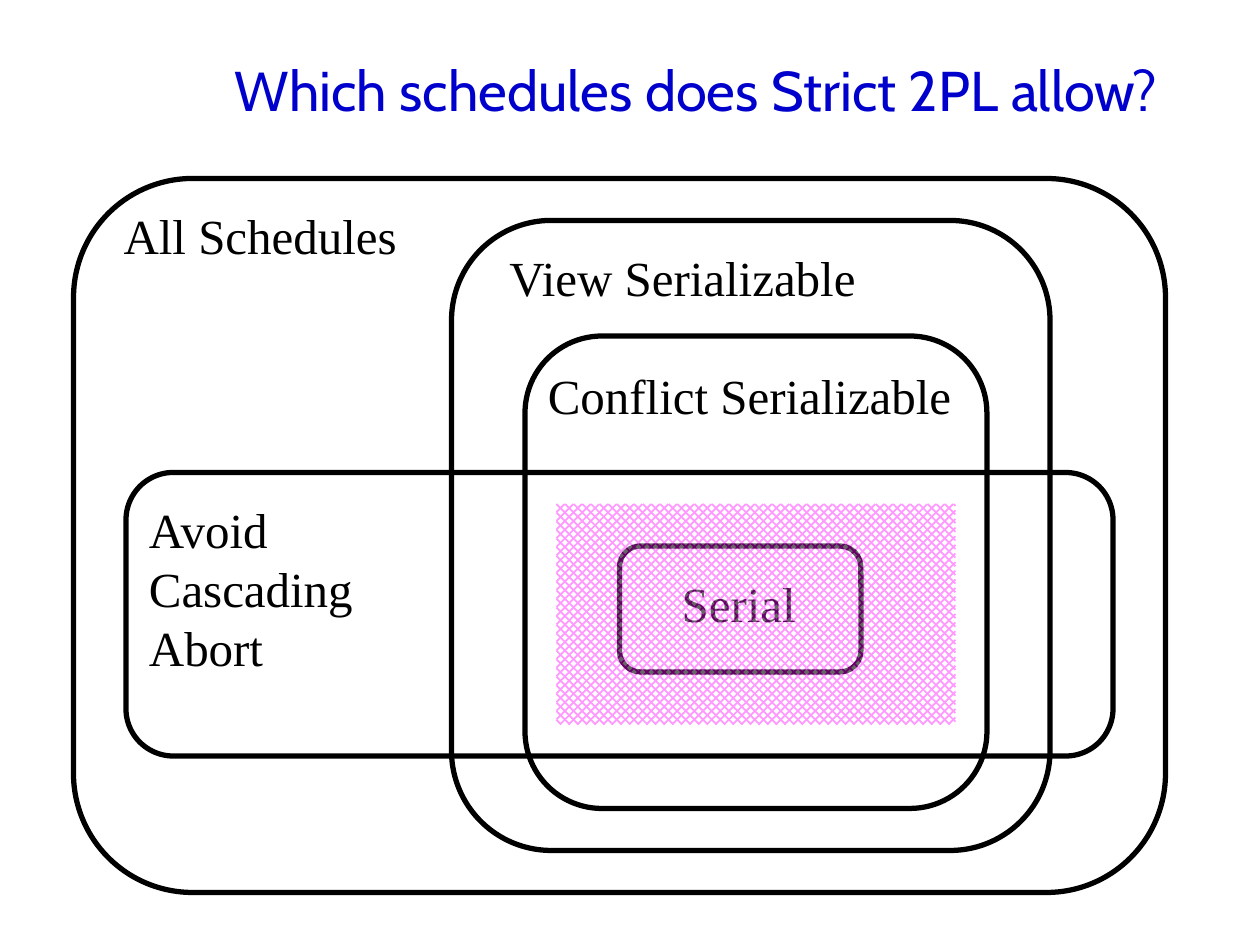
from dataclasses import dataclass

from lxml import etree
from pptx import Presentation
from pptx.dml.color import RGBColor
from pptx.enum.dml import MSO_PATTERN
from pptx.enum.shapes import MSO_SHAPE
from pptx.enum.text import MSO_ANCHOR
from pptx.oxml.ns import qn
from pptx.util import Pt

ROUNDED = MSO_SHAPE.ROUNDED_RECTANGLE
RECTANGLE = MSO_SHAPE.RECTANGLE
HALF_TONE = MSO_PATTERN.PERCENT_50
TOP = MSO_ANCHOR.TOP
MIDDLE = MSO_ANCHOR.MIDDLE


@dataclass(frozen=True)
class Theme:
    ink = RGBColor(0x00, 0x00, 0x00)
    paper = RGBColor(0xFF, 0xFF, 0xFF)
    title_color = RGBColor(0x00, 0x00, 0xCC)
    highlight = RGBColor(0xFF, 0x00, 0xFF)
    highlight_alpha = 40
    title_font = "Cabin"
    label_font = "Times New Roman"
    title_size = Pt(32)
    label_size = Pt(28)
    outline = Pt(3)


class VennSlide:
    def __init__(self, slide, theme):
        self.slide = slide
        self.theme = theme

    def add_shape(self, kind, box):
        shape = self.slide.shapes.add_shape(kind, *map(Pt, box))
        shape.shadow.inherit = False
        return shape

    def add_text(self, text, box, color, font_format, wrap=True, anchor=TOP, indent=0):
        frame = self.slide.shapes.add_textbox(*map(Pt, box)).text_frame
        frame.word_wrap = wrap
        frame.vertical_anchor = anchor
        paragraph = frame.paragraphs[0]
        if indent:
            paragraph._p.get_or_add_pPr().set("indent", str(Pt(indent)))
        run = paragraph.add_run()
        run.text = text
        run.font.color.rgb = color
        for name, value in font_format.items():
            setattr(run.font, name, value)

    def add_title(self, text, box):
        theme = self.theme
        font_format = {"name": theme.title_font, "size": theme.title_size}
        self.add_text(text, box, theme.title_color, font_format, anchor=MIDDLE, indent=43)

    def add_label(self, text, box, wrap=False):
        theme = self.theme
        font_format = {"name": theme.label_font, "size": theme.label_size}
        self.add_text(text, box, theme.ink, font_format, wrap)

    def add_class_outline(self, box):
        shape = self.add_shape(ROUNDED, box)
        shape.fill.background()
        shape.line.color.rgb = self.theme.ink
        shape.line.width = self.theme.outline

    def add_highlight(self, box):
        """Add a see-through patterned area."""
        shape = self.add_shape(RECTANGLE, box)
        shape.line.fill.background()
        fill = shape.fill
        fill.patterned()
        fill.pattern = HALF_TONE
        fill.fore_color.rgb = self.theme.highlight
        fill.back_color.rgb = self.theme.paper
        for color in shape._element.spPr.find(qn("a:pattFill")).iter(qn("a:srgbClr")):
            alpha = etree.SubElement(color, qn("a:alpha"))
            alpha.set("val", str(self.theme.highlight_alpha * 1000))


def main():
    presentation = Presentation()
    presentation.slide_width, presentation.slide_height = Pt(720), Pt(540)
    venn = VennSlide(presentation.slides.add_slide(presentation.slide_layouts[6]), Theme())

    venn.add_title("Which schedules does Strict 2PL allow?", (84, 6, 636, 90))
    venn.add_class_outline((42, 102, 624, 408))
    venn.add_label("All Schedules", (63.5, 114, 170.5, 41))
    venn.add_class_outline((72, 270, 564, 162))
    venn.add_label("Avoid Cascading Abort", (78, 282, 192, 108), wrap=True)
    venn.add_class_outline((354, 312, 138, 72))
    venn.add_label("Serial", (382.5, 324, 80, 41))
    venn.add_class_outline((300, 192, 264, 270))
    venn.add_class_outline((258, 126, 342, 360))
    venn.add_label("View Serializable", (284, 138, 214.5, 41))
    venn.add_label("Conflict Serializable", (306, 205.5, 245.5, 41))
    venn.add_highlight((318, 288, 228, 126))

    presentation.save("out.pptx")


if __name__ == "__main__":
    main()
